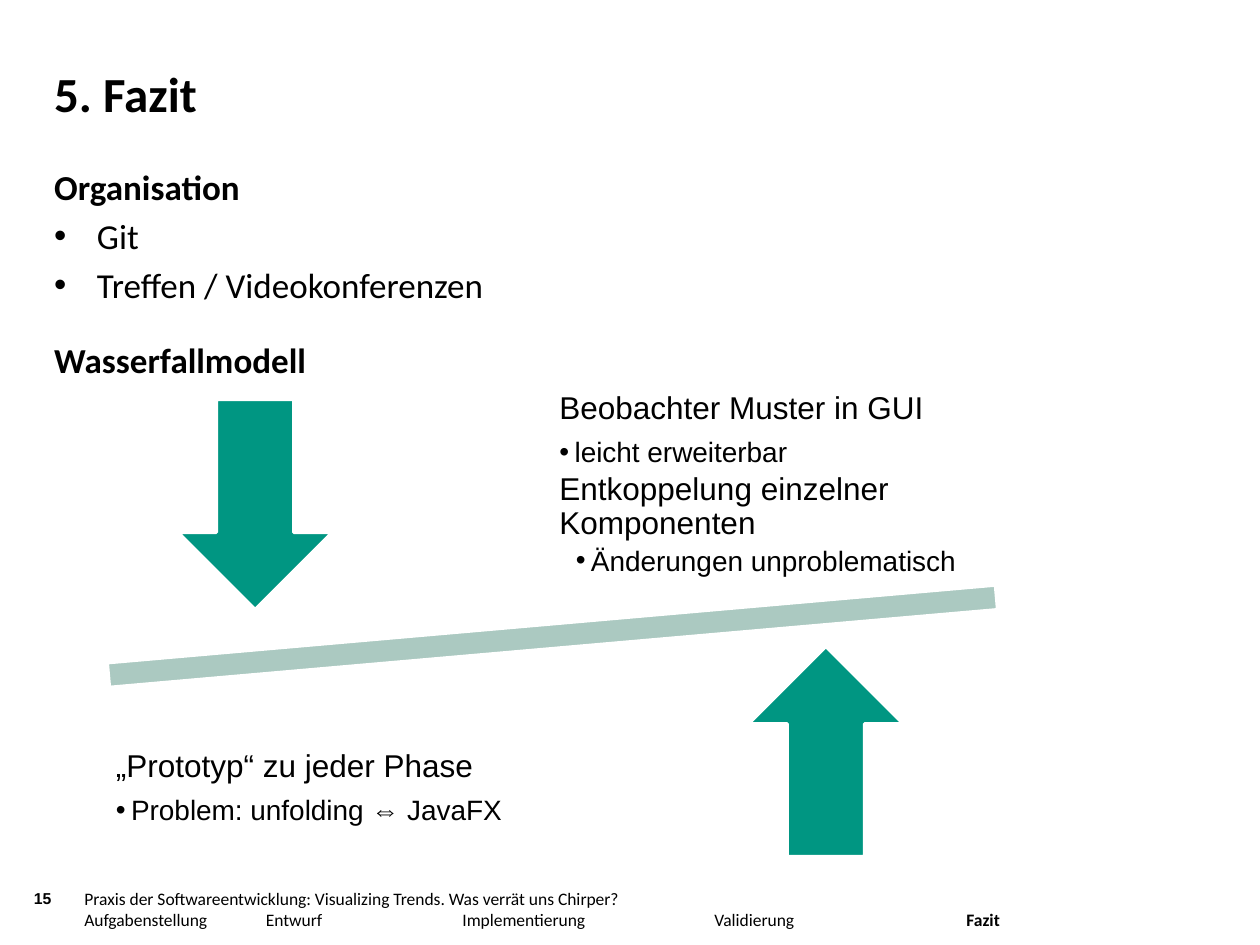
from dataclasses import dataclass

from lxml import etree
from pptx import Presentation
from pptx.dml.color import RGBColor
from pptx.enum import shapes, text
from pptx.oxml.ns import qn
from pptx.util import Inches, Pt


@dataclass(frozen=True)
class Theme:
    ink: RGBColor = RGBColor(0x00, 0x00, 0x00)
    paper: RGBColor = RGBColor(0xFF, 0xFF, 0xFF)
    beam: RGBColor = RGBColor(0xAB, 0xC9, 0xC1)
    arrow: RGBColor = RGBColor(0x00, 0x96, 0x82)
    head_font: str = "Calibri"
    label_font: str = "Arial"
    title: int = 28
    body: int = 20
    label: int = 18
    detail: int = 16
    footer: int = 10
    number: int = 9
    outline: int = 2


THEME = Theme()


@dataclass(frozen=True)
class Area:
    left: float
    top: float
    width: float
    height: float

    def lengths(self) -> list[int]:
        return [Inches(v) for v in (self.left, self.top, self.width, self.height)]


@dataclass(frozen=True)
class Line:
    words: str
    size: int
    bold: bool = False
    margin: float = 0
    hanging: float = 0  # a hanging indent carries a bullet
    before: float = 0
    after: float = 0
    spacing: float = 1.0


@dataclass(frozen=True)
class Figure:
    kind: shapes.MSO_SHAPE
    area: Area
    color: RGBColor
    rotation: float = 0


def add_bullet(para, margin: float, hanging: float) -> None:
    props = para._p.get_or_add_pPr()
    props.set("marL", str(Inches(margin)))
    props.set("indent", str(-Inches(hanging)))
    etree.SubElement(props, qn("a:buFont")).set("typeface", "Arial")
    etree.SubElement(props, qn("a:buChar")).set("char", "•")


def add_tabs(para, stops: list[float]) -> None:
    tabs = etree.SubElement(para._p.get_or_add_pPr(), qn("a:tabLst"))
    for stop in stops:
        etree.SubElement(tabs, qn("a:tab"), pos=str(Inches(stop)), algn="l")


def style_span(span, font: str, size: int, bold: bool) -> None:
    span.font.name = font
    span.font.size = Pt(size)
    span.font.bold = bold
    span.font.color.rgb = THEME.ink


def add_text(page, area: Area, lines: list[Line], font: str, inset: float = 0,
             anchor: text.MSO_ANCHOR = text.MSO_ANCHOR.TOP):
    frame = page.shapes.add_textbox(*area.lengths()).text_frame
    frame.word_wrap = True
    frame.vertical_anchor = anchor
    frame.margin_left = frame.margin_right = Inches(inset)
    frame.margin_top = frame.margin_bottom = Inches(inset)
    frame.text = "\n".join(line.words for line in lines)
    for para, line in zip(frame.paragraphs, lines):
        para.space_before = Pt(line.before)
        para.space_after = Pt(line.after)
        para.line_spacing = line.spacing
        if line.hanging:
            add_bullet(para, line.margin, line.hanging)
        for span in para.runs:
            style_span(span, font, line.size, line.bold)
    return frame


def add_figure(page, figure: Figure) -> None:
    shape = page.shapes.add_shape(figure.kind, *figure.area.lengths())
    shape.shadow.inherit = False
    shape.rotation = figure.rotation
    shape.fill.solid()
    shape.fill.fore_color.rgb = figure.color
    shape.line.color.rgb = THEME.paper
    shape.line.width = Pt(THEME.outline)


def body_line(words: str, bold: bool = False, before: float = 4) -> Line:
    indent = 0 if bold else 0.34
    return Line(words, THEME.body, bold, indent, indent, before)


def label_line(words: str, after: float = 7) -> Line:
    return Line(words, THEME.label, after=after, spacing=0.9)


def detail_line(words: str, margin: float = 0.12) -> Line:
    return Line(words, THEME.detail, margin=margin, hanging=0.12, after=3, spacing=0.9)


def add_footer(page) -> None:
    add_text(page, Area(0.27, 7.05, 0.36, 0.24),
             [Line("15", THEME.number, bold=True)], THEME.label_font)
    sections = ["Aufgabenstellung", "Entwurf", "Implementierung", "Validierung"]
    frame = add_text(page, Area(0.67, 7.05, 8.58, 0.39), [
        Line("Praxis der Softwareentwicklung: Visualizing Trends. "
             "Was verrät uns Chirper?", THEME.footer),
        Line("\t".join(sections) + "\t", THEME.footer),
    ], THEME.head_font)
    agenda = frame.paragraphs[1]
    add_tabs(agenda, [1.44, 3, 5, 7])
    current = agenda.add_run()
    current.text = "Fazit"
    style_span(current, THEME.head_font, THEME.footer, True)


def main() -> None:
    deck = Presentation()
    deck.slide_width, deck.slide_height = Inches(10), Inches(7.5)
    page = deck.slides.add_slide(deck.slide_layouts[6])

    # Title and body
    add_text(page, Area(0.43, 0.36, 7.56, 0.61),
             [Line("5. Fazit", THEME.title, bold=True)],
             THEME.head_font, anchor=text.MSO_ANCHOR.BOTTOM)
    add_text(page, Area(0.43, 1.31, 9.14, 5.35), [
        body_line("Organisation", bold=True),
        body_line("Git"),
        body_line("Treffen / Videokonferenzen"),
        body_line("Wasserfallmodell", bold=True, before=19),
    ], THEME.head_font)

    # Balance: tilted beam and opposing arrows
    for figure in (
        Figure(shapes.MSO_SHAPE.MATH_MINUS, Area(-0.43, 4.63, 9.63, 0.84), THEME.beam, 355),
        Figure(shapes.MSO_SHAPE.DOWN_ARROW, Area(1.41, 3.17, 1.23, 1.67), THEME.arrow),
        Figure(shapes.MSO_SHAPE.UP_ARROW, Area(5.94, 5.13, 1.23, 1.67), THEME.arrow),
    ):
        add_figure(page, figure)

    # Arguments beside the arrows
    arguments = {
        Area(4.32, 2.97, 4.25, 1.75): [
            label_line("Beobachter Muster in GUI"),
            detail_line("leicht erweiterbar"),
            label_line("Entkoppelung einzelner Komponenten", after=3),
            detail_line("Änderungen unproblematisch", margin=0.25),
        ],
        Area(0.8, 5.38, 3.52, 1.75): [
            label_line("„Prototyp“ zu jeder Phase"),
            detail_line("Problem: unfolding ⇔ JavaFX"),
        ],
    }
    for area, lines in arguments.items():
        add_text(page, area, lines, THEME.label_font, 0.12, text.MSO_ANCHOR.MIDDLE)

    add_footer(page)
    deck.save("out.pptx")


if __name__ == "__main__":
    main()
